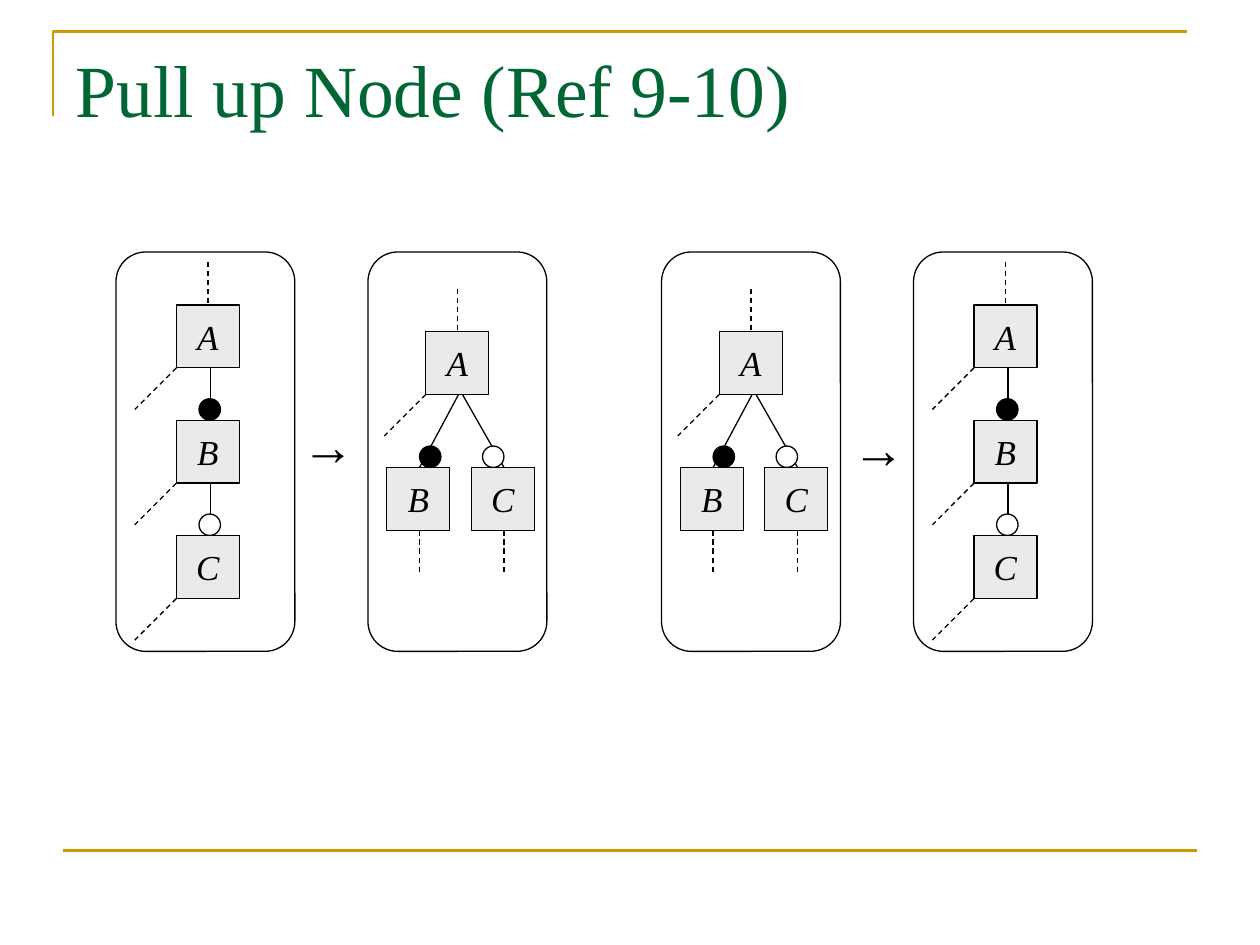
from lxml import etree
from pptx import Presentation
from pptx.dml.color import RGBColor
from pptx.enum import dml, shapes, text
from pptx.oxml import ns
from pptx.util import Inches, Pt

COLORS = {
    "rule": "CC9900",
    "title": "006633",
    "node": "EAEAEA",
    "ink": "000000",
    "paper": "FFFFFF",
}
SERIF = "Times New Roman"
FRAME_TOP, FRAME_WIDTH, FRAME_HEIGHT = 2, 1.42, 3.17
NODE, DOT, REACH = 0.5, 0.17, 0.33


def color(name):
    return RGBColor.from_string(COLORS[name])


def write(frame, content, size, font=SERIF, ink="ink", italic=False,
          align=text.PP_ALIGN.LEFT, anchor=text.MSO_ANCHOR.TOP,
          wrap=False, fit=text.MSO_AUTO_SIZE.NONE):
    frame.word_wrap = wrap
    frame.auto_size = fit
    frame.vertical_anchor = anchor
    paragraph = frame.paragraphs[0]
    paragraph.alignment = align
    run = paragraph.add_run()
    run.text = content
    run.font.size = Pt(size)
    run.font.name = font
    run.font.italic = italic
    run.font.color.rgb = color(ink)


def stroke(line, ink="ink", width=0.75):
    line.color.rgb = color(ink)
    line.width = Pt(width)


def add_line(parent, x1, y1, x2, y2, ink="ink", width=0.75, dashed=False):
    line = parent.add_connector(shapes.MSO_CONNECTOR.STRAIGHT,
                                Inches(x1), Inches(y1), Inches(x2), Inches(y2))
    stroke(line.line, ink, width)
    if dashed:
        line.line.dash_style = dml.MSO_LINE.DASH
    etree.SubElement(line._element.spPr, ns.qn("a:effectLst"))


def add_outline(parent, preset, left, top, width, height, fill=None):
    outline = parent.add_shape(preset, Inches(left), Inches(top),
                               Inches(width), Inches(height))
    outline.shadow.inherit = False
    stroke(outline.line)
    if fill:
        outline.fill.solid()
        outline.fill.fore_color.rgb = color(fill)
    else:
        outline.fill.background()
    return outline


def add_frame(parent, left):
    add_outline(parent, shapes.MSO_SHAPE.ROUNDED_RECTANGLE,
                left, FRAME_TOP, FRAME_WIDTH, FRAME_HEIGHT)


def add_node(parent, label, left, top):
    node = add_outline(parent, shapes.MSO_SHAPE.RECTANGLE,
                       left, top, NODE, NODE, "node")
    write(node.text_frame, label, 20, italic=True,
          align=text.PP_ALIGN.CENTER, anchor=text.MSO_ANCHOR.MIDDLE)


def add_dot(parent, left, top, fill):
    add_outline(parent, shapes.MSO_SHAPE.OVAL, left, top, DOT, DOT, fill)


def add_stem(parent, x, top):
    add_line(parent, x, top, x, top + REACH, dashed=True)


def add_side_branch(parent, x, y):
    add_line(parent, x, y, x - REACH, y + REACH, dashed=True)


def add_chain(parent, left):
    node_left = left + 0.48
    add_frame(parent, left)
    add_stem(parent, left + 0.73, 2.08)
    for level, (label, dot) in enumerate((("A", None), ("B", "ink"), ("C", "paper"))):
        top = 2.42 + level * 0.915
        if dot:
            add_line(parent, left + 0.75, top - 0.42, left + 0.75, top - 0.08)
            add_dot(parent, left + 0.66, top - DOT, dot)
        add_node(parent, label, node_left, top)
        add_side_branch(parent, node_left, top + NODE)


def add_tree(parent, left):
    add_frame(parent, left)
    add_stem(parent, left + 0.71, 2.29)
    add_node(parent, "A", left + 0.46, 2.63)
    add_side_branch(parent, left + 0.46, 3.13)
    children = (
        ("B", 0.15, 0.72, 0.41, 0.41, "ink"),
        ("C", 0.82, 0.75, 1.08, 0.91, "paper"),
    )
    for label, node_x, start_x, end_x, dot_x, dot in children:
        add_line(parent, left + start_x, 3.13, left + end_x, 3.71)
        add_dot(parent, left + dot_x, 3.54, dot)
        add_node(parent, label, left + node_x, 3.71)
        add_stem(parent, left + end_x, 4.21)


def add_arrow(slide, left, top):
    arrow = slide.shapes.add_textbox(Inches(left), Inches(top),
                                     Inches(0.45), Inches(0.6))
    write(arrow.text_frame, "→", 30, font="Courier New",
          fit=text.MSO_AUTO_SIZE.SHAPE_TO_FIT_TEXT)


def add_rules(slide):
    corner = slide.shapes.build_freeform(Inches(0.42), Inches(0.92))
    corner.add_line_segments([(Inches(0.42), Inches(0.25)),
                              (Inches(9.42), Inches(0.25))], close=False)
    bracket = corner.convert_to_shape()
    bracket.shadow.inherit = False
    bracket.fill.background()
    stroke(bracket.line, "rule", 1.5)
    add_line(slide.shapes, 0.5, 6.75, 9.5, 6.75, "rule", 1.5)


def add_title(slide, content):
    title = slide.shapes.title
    title.left, title.top = Inches(0.5), Inches(0.3)
    title.width, title.height = Inches(9), Inches(0.78)
    write(title.text_frame, content, 42, ink="title", wrap=True)


def main():
    deck = Presentation()
    deck.slide_width, deck.slide_height = Inches(10), Inches(7.5)
    slide = deck.slides.add_slide(deck.slide_layouts[5])
    add_rules(slide)
    add_title(slide, "Pull up Node (Ref 9-10)")
    add_chain(slide.shapes, 0.92)
    add_tree(slide.shapes, 2.92)
    add_arrow(slide, 2.38, 3.23)
    add_tree(slide.shapes.add_group_shape().shapes, 5.25)
    add_chain(slide.shapes.add_group_shape().shapes, 7.25)
    add_arrow(slide, 6.75, 3.25)
    deck.save("out.pptx")


if __name__ == "__main__":
    main()
